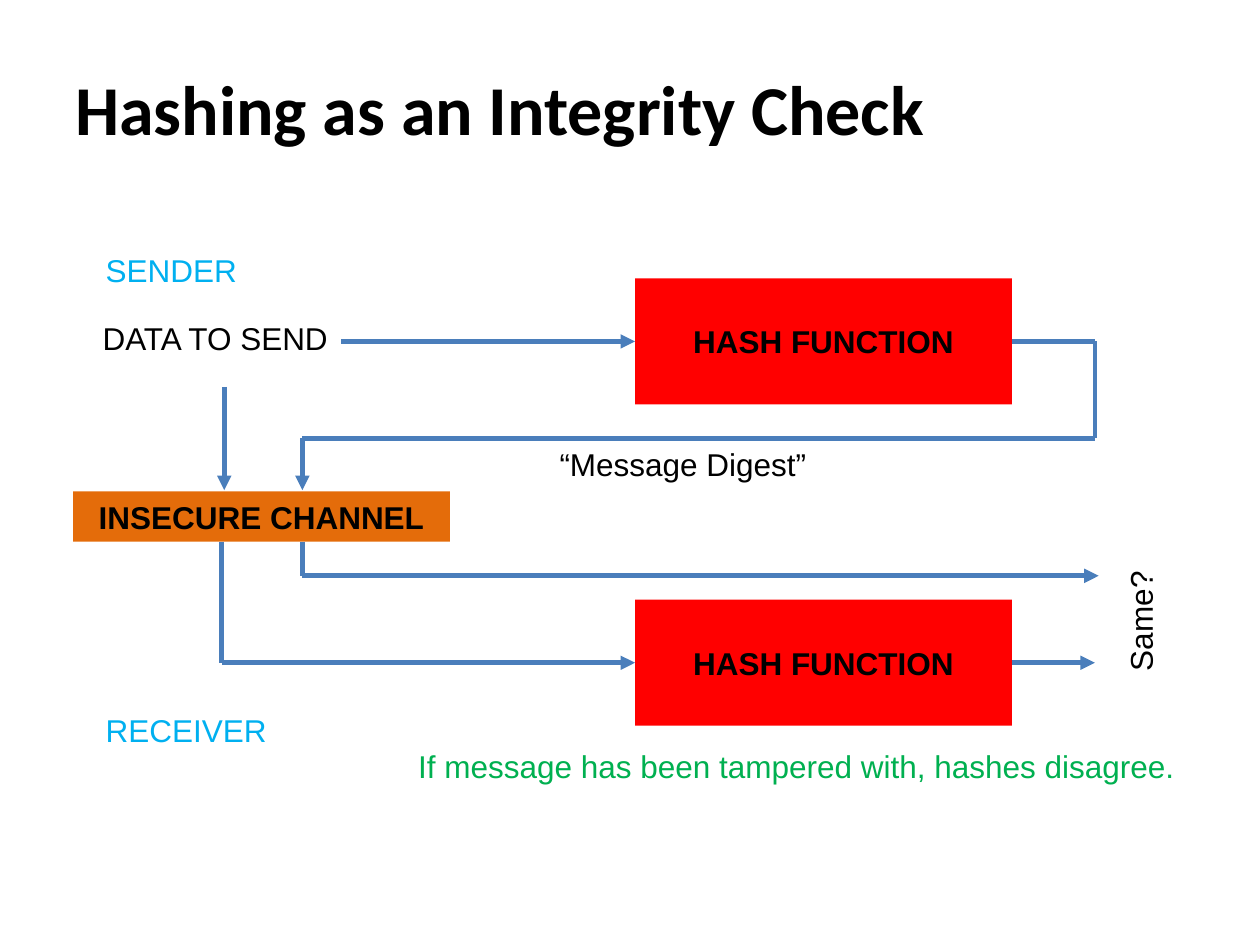
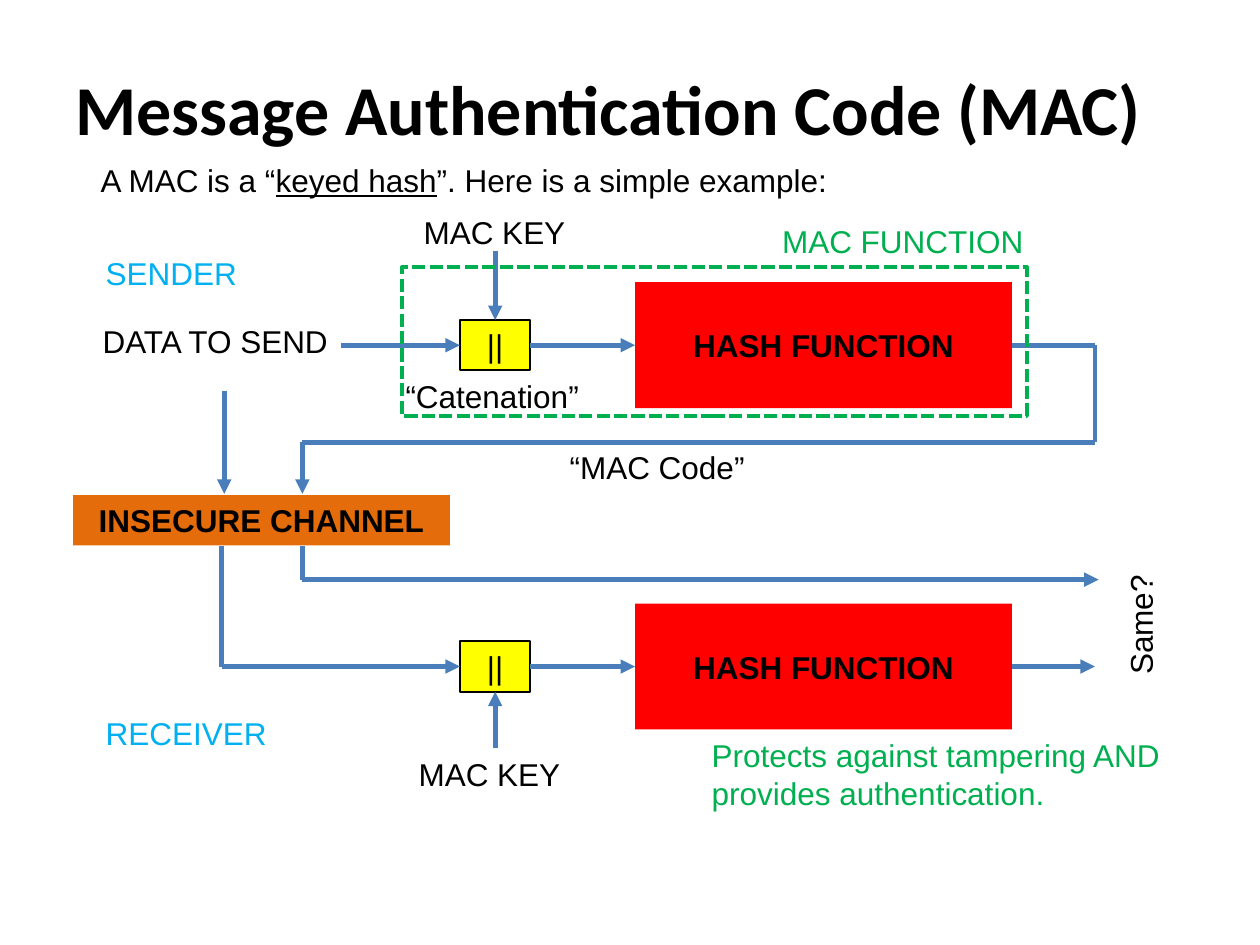
"""Build two slides on hashing: the integrity check and the message authentication code."""
from dataclasses import dataclass
from itertools import pairwise

from lxml.etree import SubElement
from pptx import Presentation
from pptx.dml.color import RGBColor
from pptx.enum.dml import MSO_LINE
from pptx.enum.shapes import MSO_CONNECTOR, MSO_SHAPE
from pptx.enum.text import MSO_ANCHOR, PP_ALIGN
from pptx.oxml.ns import qn
from pptx.util import Pt

PX = 9144


@dataclass(frozen=True)
class Theme:
    ink: RGBColor = RGBColor.from_string("000000")
    wire: RGBColor = RGBColor.from_string("4A7EBB")
    hash: RGBColor = RGBColor.from_string("FF0000")
    channel: RGBColor = RGBColor.from_string("E46C0A")
    catenation: RGBColor = RGBColor.from_string("FFFF00")
    party: RGBColor = RGBColor.from_string("00B0F0")
    remark: RGBColor = RGBColor.from_string("00B050")
    title_font: str = "Calibri"
    body_font: str = "Arial"
    title_size: Pt = Pt(40)
    body_size: Pt = Pt(18)
    wire_width: Pt = Pt(2.75)
    frame_width: Pt = Pt(2.5)
    outline_width: Pt = Pt(1.25)


THEME = Theme()


def write(slide, text, box, color=THEME.ink, font=THEME.body_font, size=THEME.body_size, bold=False,
          align=PP_ALIGN.LEFT, anchor=MSO_ANCHOR.TOP, fill=None, outline=None, rotation=0):
    """Place text, underlining what stands between underscores, in a plain or filled box."""
    place = [length * PX for length in box]
    if fill is None:
        holder = slide.shapes.add_textbox(*place)
    else:
        holder = slide.shapes.add_shape(MSO_SHAPE.RECTANGLE, *place)
        holder.shadow.inherit = False
        holder.fill.solid()
        holder.fill.fore_color.rgb = fill
        if outline is None:
            holder.line.fill.background()
        else:
            holder.line.color.rgb = outline
            holder.line.width = THEME.outline_width
        align, anchor = PP_ALIGN.CENTER, MSO_ANCHOR.MIDDLE
    holder.rotation = rotation
    frame = holder.text_frame
    frame.word_wrap = True
    frame.vertical_anchor = anchor
    paragraph = frame.paragraphs[0]
    paragraph.alignment = align
    for index, part in enumerate(text.split("_")):
        run = paragraph.add_run()
        run.text = part
        run.font.name, run.font.size, run.font.bold = font, size, bold
        run.font.color.rgb = color
        if index % 2:
            run.font.underline = True
    return holder


def wire(slide, *points, start=None, finish=None, arrow=True):
    """Draw a route through points, joined to (shape, side) at either end."""
    last = len(points) - 2
    for index, (begin, end) in enumerate(pairwise(points)):
        segment = slide.shapes.add_connector(
            MSO_CONNECTOR.STRAIGHT, *[length * PX for length in begin + end])
        if start and index == 0:
            segment.begin_connect(*start)
        if finish and index == last:
            segment.end_connect(*finish)
        segment.line.color.rgb = THEME.wire
        segment.line.width = THEME.wire_width
        properties = segment.element.spPr
        if arrow and index == last:
            SubElement(properties.find(qn("a:ln")), qn("a:tailEnd"), type="triangle")
        SubElement(properties, qn("a:effectLst"))


presentation = Presentation()
presentation.slide_width = 1000 * PX
presentation.slide_height = 750 * PX

topics = (
    ("Hashing as an Integrity Check", 0, False, "“Message Digest”", 222,
     "If message has been tampered with, hashes disagree.", (322, 588, 675, 40)),
    ("Message Authentication Code (MAC)", 3, True, "“MAC Code”", 181,
     "Protects against tampering AND provides authentication.", (555, 579, 379, 70)),
)

for title, drop, keyed, digest, digest_width, verdict, verdict_box in topics:
    slide = presentation.slides.add_slide(presentation.slide_layouts[6])
    write(slide, title, (50, 31, 900, 109), font=THEME.title_font, size=THEME.title_size,
          bold=True, anchor=MSO_ANCHOR.MIDDLE)

    sender_y, receiver_y = 271 + drop, 526 + drop
    digest_y, channel_y = 348 + drop, 390 + drop
    channel_end, compare_y = channel_y + 40, 457 + drop

    write(slide, "SENDER", (74, 194 + drop, 161, 40), color=THEME.party)
    write(slide, "RECEIVER", (74, 559 + drop, 181, 40), color=THEME.party)
    write(slide, "DATA TO SEND", (42, 248 + drop, 228, 40), align=PP_ALIGN.RIGHT)
    write(slide, "INSECURE CHANNEL", (58, channel_y, 299, 40), bold=True, fill=THEME.channel)
    write(slide, digest, (431, digest_y, digest_width, 40), align=PP_ALIGN.CENTER)
    write(slide, "Same?", (830, 473 + drop, 150, 40), align=PP_ALIGN.CENTER, rotation=270)
    write(slide, verdict, verdict_box, color=THEME.remark)

    wire(slide, (178, 307 + drop), (178, channel_y - 1))
    wire(slide, (240, channel_end), (240, compare_y), (872, compare_y))

    sender_exit = [(869, sender_y), (869, digest_y), (240, digest_y), (240, channel_y - 1)]
    receiver_feed = [(176, channel_end), (176, receiver_y)]
    lanes = (
        (sender_y, [(271, sender_y)], sender_exit, (306, 164), 199, 0),
        (receiver_y, receiver_feed, [(869, receiver_y)], (302, 594), 594, 2),
    )
    for lane_y, feed, outlet, key_corner, key_y, key_side in lanes:
        hash_box = write(slide, "HASH FUNCTION", (504, lane_y - 50, 299, 100), bold=True,
                         fill=THEME.hash)
        wire(slide, (803, lane_y), *outlet, start=(hash_box, 3))
        if keyed:
            catenation = write(slide, "||", (365, lane_y - 20, 56, 40), fill=THEME.catenation,
                               outline=THEME.ink)
            write(slide, "MAC KEY", (*key_corner, 173, 40), align=PP_ALIGN.CENTER)
            wire(slide, *feed, (365, lane_y), finish=(catenation, 1))
            wire(slide, (421, lane_y), (504, lane_y), start=(catenation, 3), finish=(hash_box, 1))
            wire(slide, (393, key_y), (393, lane_y - 20 + 20 * key_side),
                 finish=(catenation, key_side))
        else:
            wire(slide, *feed, (504, lane_y), finish=(hash_box, 1))

    if keyed:
        write(slide, "A MAC is a “_keyed hash_”. Here is a simple example:", (70, 123, 824, 40))
        write(slide, "“Catenation”", (312, 294, 161, 40))
        write(slide, "MAC FUNCTION", (587, 171, 259, 40), color=THEME.remark,
              align=PP_ALIGN.CENTER)
        mac_frame = slide.shapes.add_shape(
            MSO_SHAPE.RECTANGLE, *[length * PX for length in (319, 212, 496, 118)])
        mac_frame.shadow.inherit = False
        mac_frame.fill.background()
        mac_frame.line.color.rgb = THEME.remark
        mac_frame.line.width = THEME.frame_width
        mac_frame.line.dash_style = MSO_LINE.SQUARE_DOT

presentation.save("out.pptx")
